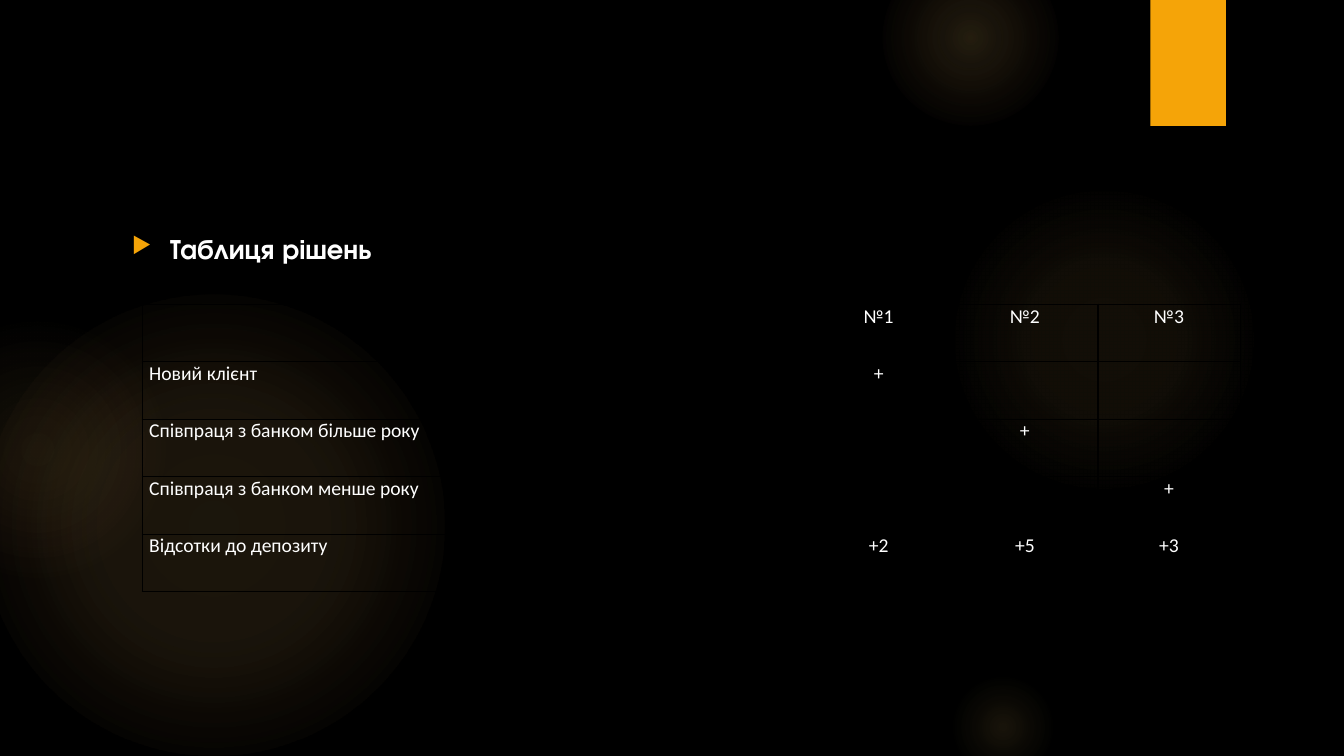
from dataclasses import dataclass

from pptx import Presentation
from pptx.dml.color import RGBColor
from pptx.enum.shapes import MSO_SHAPE
from pptx.enum.text import PP_ALIGN
from pptx.oxml import parse_xml
from pptx.oxml.ns import nsdecls, qn
from pptx.util import Inches, Pt

OVAL = MSO_SHAPE.OVAL
RECTANGLE = MSO_SHAPE.RECTANGLE
LEFT = PP_ALIGN.LEFT
CENTER = PP_ALIGN.CENTER

COLORS = {
    "background": "000000",
    "text": "FFFFFF",
    "accent": "F5A408",
    "glow": "FAC96A",
    "warm_glow": "F59B74",
    "border": "000000",
}
HEADING_FONT = "TeX Gyre Adventor"
TABLE_FONT = "Calibri"


@dataclass
class Glow:
    left: float
    top: float
    diameter: float
    alphas: tuple[int, int]  # opacity in percent at the centre and midway
    stops: tuple[int, int]  # positions in percent: midway and faded out
    edge: str = "glow"


GLOWS = [
    Glow(-0.17, 2.92, 4.58, (11, 10), (36, 75)),
    Glow(-0.92, 3.17, 2.58, (8, 5), (36, 71), "warm_glow"),
    Glow(9.41, 1.83, 3.08, (7, 6), (36, 69)),
    Glow(8.75, -0.5, 1.75, (14, 7), (36, 73)),
    Glow(9.41, 6.67, 1.08, (10, 5), (31, 66)),
]

COLUMN_WIDTHS = [6.58, 1.45, 1.45, 1.41]
ROW_HEIGHT = 0.57
DECISIONS = [
    ["", "№1", "№2", "№3"],
    ["Новий клієнт", "+", "", ""],
    ["Співпраця з банком більше року", "", "+", ""],
    ["Співпраця з банком менше року", "", "", "+"],
    ["Відсотки до депозиту", "+2", "+5", "+3"],
]


def rgb(name: str) -> RGBColor:
    return RGBColor.from_string(COLORS[name])


def format_font(font, name: str, size: int, bold: bool = False) -> None:
    font.name = name
    font.size = Pt(size)
    font.bold = bold
    font.color.rgb = rgb("text")


def add_glow(slide, glow: Glow) -> None:
    shape = slide.shapes.add_shape(
        OVAL, Inches(glow.left), Inches(glow.top), Inches(glow.diameter), Inches(glow.diameter)
    )
    shape.shadow.inherit = False
    shape.line.fill.background()
    middle, end = glow.stops
    stops = [(0, "glow", glow.alphas[0]), (middle, "glow", glow.alphas[1]), (end, glow.edge, 0)]
    stop_xml = "".join(
        f'<a:gs pos="{position * 1000}"><a:srgbClr val="{COLORS[color]}">'
        f'<a:alpha val="{alpha * 1000}"/></a:srgbClr></a:gs>'
        for position, color, alpha in stops
    )
    gradient = parse_xml(
        f'<a:gradFill {nsdecls("a")} rotWithShape="1"><a:gsLst>{stop_xml}</a:gsLst>'
        '<a:path path="circle"><a:fillToRect l="50000" t="50000" r="50000" b="50000"/></a:path>'
        "</a:gradFill>"
    )
    shape._element.spPr.find(qn("a:prstGeom")).addnext(gradient)


def add_accent_tab(slide) -> None:
    shape = slide.shapes.add_shape(RECTANGLE, Inches(11.41), 0, Inches(0.75), Inches(1.25))
    shape.fill.solid()
    shape.fill.fore_color.rgb = rgb("accent")
    shape.line.fill.background()
    shape.shadow.inherit = False
    shape._element.spPr.find(qn("a:effectLst")).append(parse_xml(
        f'<a:outerShdw {nsdecls("a")} blurRad="{Pt(3)}" dist="{Pt(2)}" dir="5400000">'
        '<a:srgbClr val="000000"><a:alpha val="45000"/></a:srgbClr></a:outerShdw>'
    ))


def add_heading(slide) -> None:
    box = slide.shapes.add_textbox(Inches(1.21), Inches(2.25), Inches(9.78), Inches(4.59))
    box.text_frame.word_wrap = True
    box.text_frame.text = "Таблиця рішень"
    paragraph = box.text_frame.paragraphs[0]
    properties = paragraph._p.get_or_add_pPr()
    properties.set("marL", str(Inches(0.38)))
    properties.set("indent", str(-Inches(0.38)))
    for bullet in (
        f'<a:buClr {nsdecls("a")}><a:srgbClr val="{COLORS["accent"]}"/></a:buClr>',
        f'<a:buSzPct {nsdecls("a")} val="80000"/>',
        f'<a:buChar {nsdecls("a")} char="▶"/>',
    ):
        properties.append(parse_xml(bullet))
    paragraph.space_after = Pt(6)
    format_font(paragraph.runs[0].font, HEADING_FONT, 20, bold=True)


def format_cell(cell, text: str, alignment: PP_ALIGN) -> None:
    cell.margin_left = cell.margin_right = Inches(0.07)
    cell.margin_top = cell.margin_bottom = 0
    properties = cell._tc.get_or_add_tcPr()
    for side in ("lnL", "lnR", "lnT", "lnB"):
        properties.append(parse_xml(
            f'<a:{side} {nsdecls("a")} w="{Pt(1)}"><a:solidFill>'
            f'<a:srgbClr val="{COLORS["border"]}"/></a:solidFill></a:{side}>'
        ))
    cell.fill.background()
    cell.text_frame.text = text
    paragraph = cell.text_frame.paragraphs[0]
    paragraph.alignment = alignment
    for run in paragraph.runs:
        format_font(run.font, TABLE_FONT, 14)


def add_decision_table(slide) -> None:
    table = slide.shapes.add_table(
        len(DECISIONS), len(COLUMN_WIDTHS), Inches(1.41), Inches(3.02),
        Inches(sum(COLUMN_WIDTHS)), Inches(ROW_HEIGHT * len(DECISIONS)),
    ).table
    table.first_row = False
    table.horz_banding = False
    for column, width in zip(table.columns, COLUMN_WIDTHS):
        column.width = Inches(width)
    for row, texts in zip(table.rows, DECISIONS):
        row.height = Inches(ROW_HEIGHT)
        for index, (cell, text) in enumerate(zip(row.cells, texts)):
            format_cell(cell, text, CENTER if index else LEFT)


def main() -> None:
    presentation = Presentation()
    presentation.slide_width = Inches(13.33)
    presentation.slide_height = Inches(7.5)
    slide = presentation.slides.add_slide(presentation.slide_layouts[6])

    # Background with soft glows
    slide.background.fill.solid()
    slide.background.fill.fore_color.rgb = rgb("background")
    for glow in GLOWS:
        add_glow(slide, glow)
    add_accent_tab(slide)

    # Content
    add_heading(slide)
    add_decision_table(slide)

    presentation.save("out.pptx")


if __name__ == "__main__":
    main()
